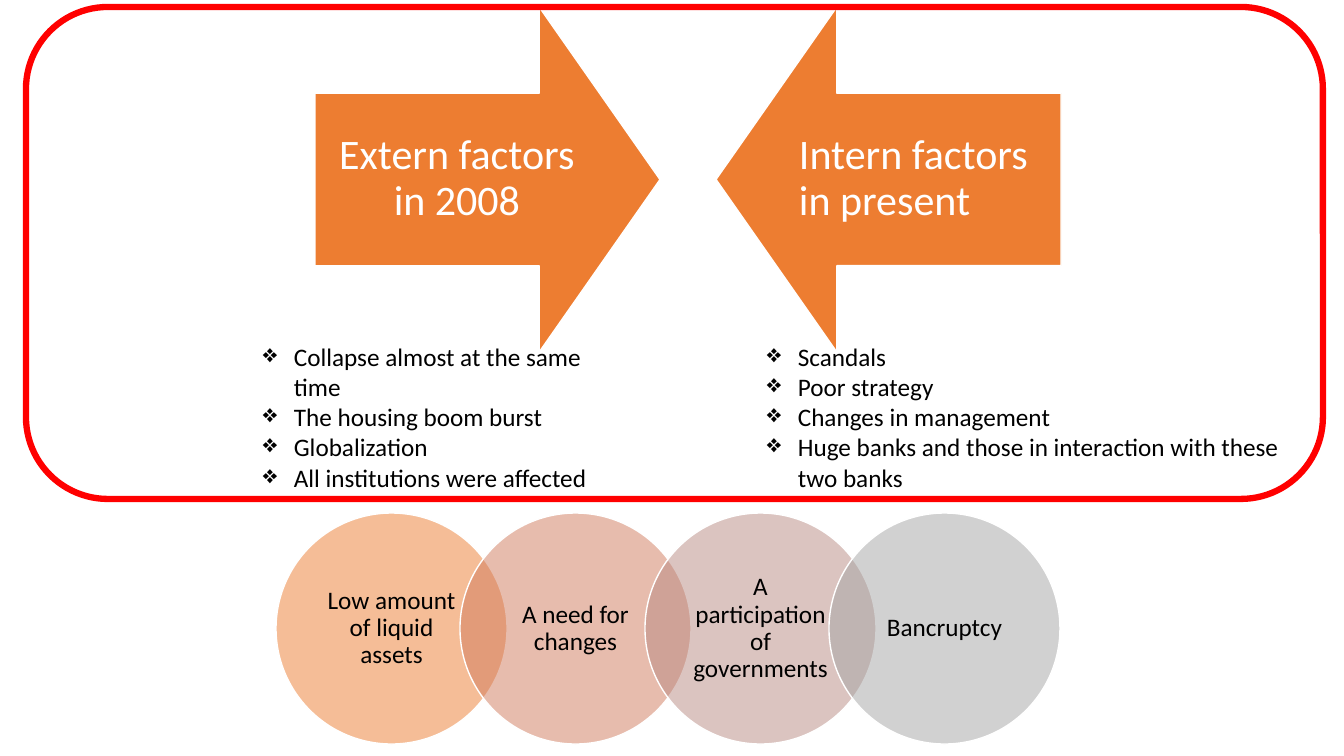
import dataclasses

import pptx
import pptx.dml.color
import pptx.enum.shapes
import pptx.enum.text
import pptx.oxml
import pptx.oxml.ns
import pptx.util

SCALE = 914400 / 100.8
FONT = "Calibri"
ORANGE, WHITE, BLACK, RED = "ED7D31", "FFFFFF", "000000", "FF0000"
SHAPE = pptx.enum.shapes.MSO_SHAPE
ALIGN = pptx.enum.text.PP_ALIGN
Box = tuple[int, int, int, int]


@dataclasses.dataclass
class Arrow:
    """A block arrow and its label."""
    left: int
    turn: int
    inset: int
    align: ALIGN
    text: str


@dataclasses.dataclass
class Points:
    """A bulleted list under an arrow."""
    left: int
    width: int
    items: list[str]


@dataclasses.dataclass
class Ring:
    """One circle of the chain."""
    fill: str
    text: str


ARROWS = [
    Arrow(315, 270, 0, ALIGN.CENTER, "Extern factors in 2008"),
    Arrow(716, 90, 60, ALIGN.LEFT, "Intern\u00a0factors in present"),
]
LISTS = [
    Points(253, 354, ["Collapse almost at the same time", "The housing boom burst",
                      "Globalization", "All institutions were affected"]),
    Points(757, 561, ["Scandals", "Poor strategy", "Changes in management",
                      "Huge banks and those in interaction with these two banks"]),
]
RINGS = [
    Ring(ORANGE, "Low amount of liquid assets"),
    Ring("D17B5C", "A need for changes"),
    Ring("B98A82", "A participation of governments"),
    Ring("A5A5A5", "Bancruptcy"),
]


def px(size: float) -> pptx.util.Emu:
    """Turn pixels into EMU."""
    return pptx.util.Emu(round(size * SCALE))


def paint(color, value: str) -> None:
    """Set a colour from a hex string."""
    color.rgb = pptx.dml.color.RGBColor.from_string(value)


def add_form(slide, kind: SHAPE, box: Box, fill: str | None, line: str, width: float):
    """Add a preset shape with its fill and outline."""
    form = slide.shapes.add_shape(kind, *map(px, box))
    form.shadow.inherit = False
    if fill:
        form.fill.solid()
        paint(form.fill.fore_color, fill)
    else:
        form.fill.background()
    paint(form.line.color, line)
    form.line.width = pptx.util.Pt(width)
    return form


def fade(form, share: int) -> None:
    """Make a solid fill partly opaque, in percent."""
    color = form.fill._xPr.find(".//" + pptx.oxml.ns.qn("a:srgbClr"))
    alpha = pptx.oxml.parse_xml(
        f'<a:alpha {pptx.oxml.ns.nsdecls("a")} val="{share * 1000}"/>')
    color.append(alpha)


def add_text(slide, box: Box, items: list[str], size: int, color: str):
    """Add a wrapping text box with one paragraph per item."""
    frame = slide.shapes.add_textbox(*map(px, box)).text_frame
    frame.word_wrap = True
    frame.text = "\n".join(items)
    for para in frame.paragraphs:
        para.font.size = pptx.util.Pt(size)
        para.font.name = FONT
        paint(para.font.color, color)
    return frame


def add_label(slide, box: Box, text: str, size: int, color: str,
              align: ALIGN, side: int, edge: int) -> None:
    """Add a label set in the middle of its box."""
    frame = add_text(slide, box, [text], size, color)
    frame.vertical_anchor = pptx.enum.text.MSO_ANCHOR.MIDDLE
    frame.margin_left = frame.margin_right = px(side)
    frame.margin_top = frame.margin_bottom = px(edge)
    para = frame.paragraphs[0]
    para.alignment = align
    para.line_spacing = 0.9


def add_arrow(slide, arrow: Arrow) -> None:
    """Draw a turned arrow with its label."""
    form = add_form(slide, SHAPE.DOWN_ARROW, (arrow.left, 7, 345, 345), ORANGE, WHITE, 1)
    form.adjustments[0], form.adjustments[1] = 0.5, 0.35
    form.rotation = arrow.turn
    add_label(slide, (arrow.left + arrow.inset, 93, 284, 172), arrow.text,
              30, WHITE, arrow.align, 23, 23)


def add_list(slide, points: Points) -> None:
    """Draw a bulleted list."""
    frame = add_text(slide, (points.left, 336, points.width, 163), points.items, 18, BLACK)
    frame.auto_size = pptx.enum.text.MSO_AUTO_SIZE.SHAPE_TO_FIT_TEXT
    for para in frame.paragraphs:
        props = para._p.get_or_add_pPr()
        props.set("marL", str(px(31)))
        props.set("indent", str(-px(31)))
        props.insert(0, pptx.oxml.parse_xml(
            f'<a:buChar {pptx.oxml.ns.nsdecls("a")} char="\u2756"/>'))


def add_ring(slide, index: int, ring: Ring) -> None:
    """Draw one circle of the chain with its label."""
    left, top = 276 + 369 * index // 2, 513
    form = add_form(slide, SHAPE.OVAL, (left, top, 231, 231), ring.fill, WHITE, 1)
    fade(form, 50)
    add_label(slide, (left + 34, top + 34, 163, 163), ring.text,
              18, BLACK, ALIGN.CENTER, 13, 3)


def main() -> None:
    """Build the slide and save it."""
    deck = pptx.Presentation()
    deck.slide_width, deck.slide_height = px(1344), px(756)
    slide = deck.slides.add_slide(deck.slide_layouts[6])
    for arrow in ARROWS:
        add_arrow(slide, arrow)
    for points in LISTS:
        add_list(slide, points)
    for index, ring in enumerate(RINGS):
        add_ring(slide, index, ring)
    add_form(slide, SHAPE.ROUNDED_RECTANGLE, (26, 7, 1297, 492), None, RED, 4.5)
    deck.save("out.pptx")


main()
